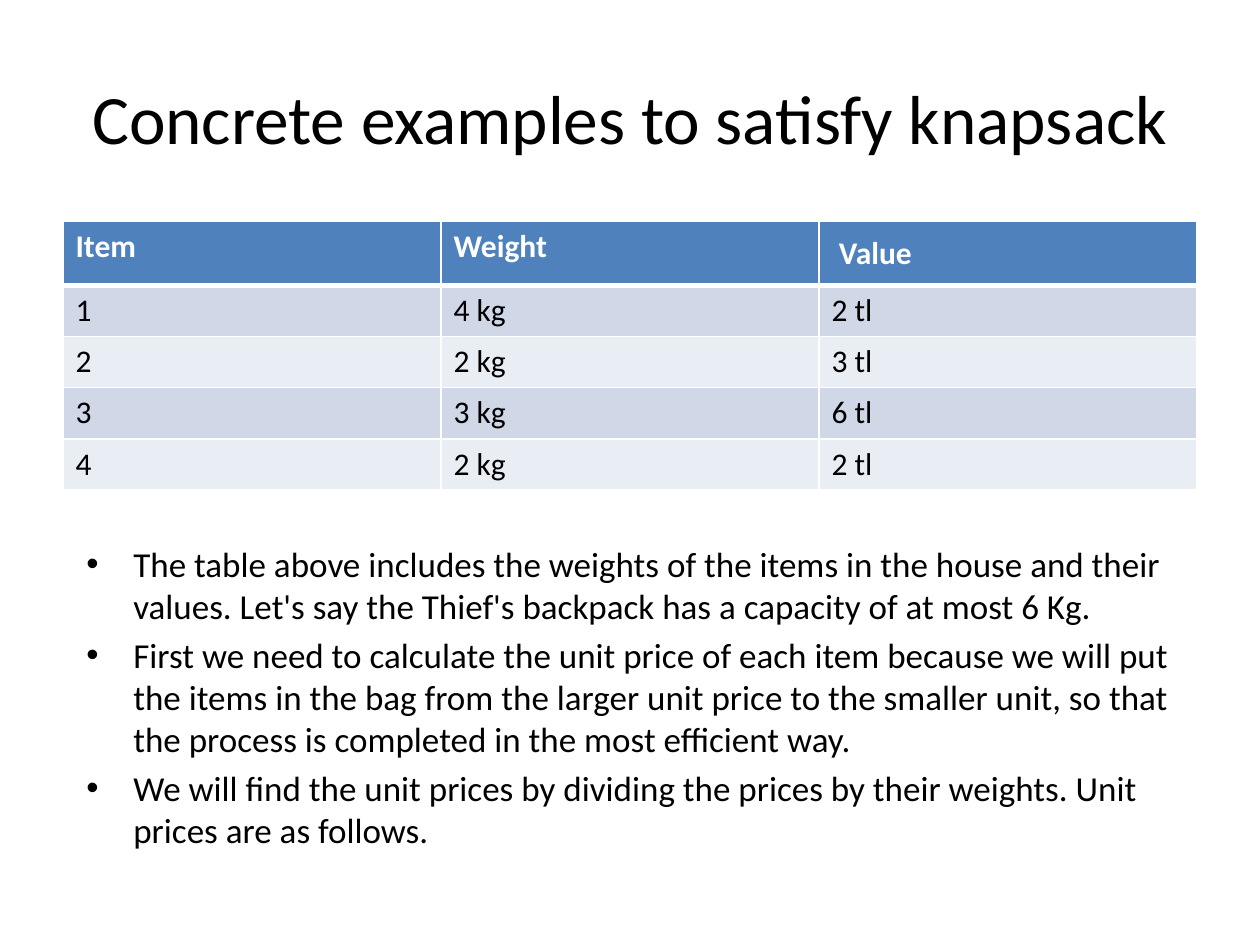
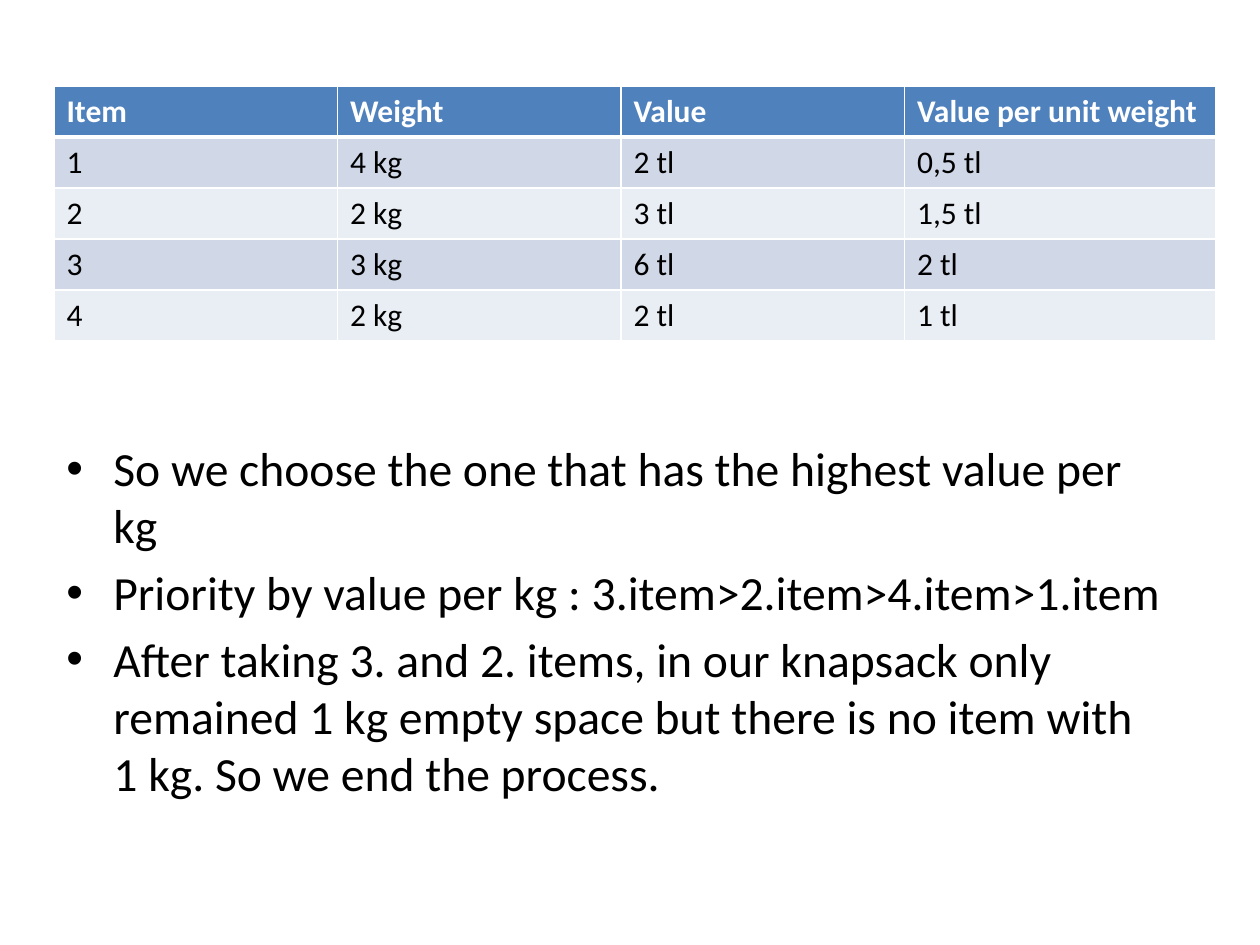
from lxml import etree
from pptx import Presentation, util as u
from pptx.dml.color import RGBColor
from pptx.enum import text
from pptx.oxml.ns import qn

FONT = "Calibri"
INK, WHITE, HEAD = "000000", "FFFFFF", "4F81BD"
BANDS = ["D0D8E8", "E9EDF4"]
ROW = 51
INDENT = 47

HEADS = ["Item", "Weight", "Value", "Value per unit weight"]
ITEMS = [
    ["1", "4 kg", "2 tl", "0,5 tl"],
    ["2", "2 kg", "3 tl", "1,5 tl"],
    ["3", "3 kg", "6 tl", "2 tl"],
    ["4", "2 kg", "2 tl", "1 tl"],
]

# Boxes are left, top, width, height in px
SLIDES = [
    {
        "title": "Concrete examples to satisfy knapsack",
        "table": (63, 221), "cols": [378] * 3, "head": 64, "inset": {2: (20, 13)},
        "body": (74, 536, 1121, 354), "size": 20,
        "points": [
            "The table above includes the weights of the items in the house and "
            "their values. Let's say the Thief's backpack has a capacity of at most 6 Kg.",
            "First we need to calculate the unit price of each item because we will "
            "put the items in the bag from the larger unit price to the smaller unit, "
            "so that the process is completed in the most efficient way.",
            "We will find the unit prices by dividing the prices by their weights. "
            "Unit prices are as follows.",
        ],
    },
    {
        "table": (54, 86), "cols": [283.5] * 3 + [311], "head": ROW, "inset": {},
        "body": (54, 433, 1121, 354), "size": 27.2,
        "points": [
            "So we choose the one that has the highest value per kg",
            "Priority by value per kg : 3.item>2.item>4.item>1.item",
            "After taking 3. and 2. items, in our knapsack only remained 1 kg empty "
            "space but there is no item with 1 kg. So we end the process.",
        ],
    },
]
TITLE = (63, 38, 1134, 157)


def px(n):
    return u.Emu(round(n * 914400 / 126))


def color(code):
    return RGBColor.from_string(code)


def write(para, words, size, ink=INK, bold=False):
    run = para.add_run()
    run.text = words
    font = run.font
    font.name, font.size, font.bold = FONT, u.Pt(size), bold
    font.color.rgb = color(ink)


def add_box(slide, box):
    frame = slide.shapes.add_textbox(*map(px, box)).text_frame
    frame.word_wrap = True
    return frame


def add_title(slide, words):
    frame = add_box(slide, TITLE)
    frame.vertical_anchor = text.MSO_ANCHOR.MIDDLE
    para = frame.paragraphs[0]
    para.alignment = text.PP_ALIGN.CENTER
    write(para, words, 39.6)


def add_points(slide, box, points, size):
    frame = add_box(slide, box)
    for i, words in enumerate(points):
        para = frame.add_paragraph() if i else frame.paragraphs[0]
        props = para._p.get_or_add_pPr()
        props.set("marL", str(px(INDENT)))
        props.set("indent", str(-px(INDENT)))
        etree.SubElement(props, qn("a:buFont"), typeface="Arial")
        etree.SubElement(props, qn("a:buChar"), char="•")
        if i:
            para.space_before = u.Pt(size * 0.2)
        write(para, words, size)


def edge(cell, row):
    """White cell borders, thick between the header and the items."""
    props = cell._tc.get_or_add_tcPr()
    thick = {(0, "B"), (1, "T")}
    for side in "LRTB":
        width = u.Pt(3 if (row, side) in thick else 1)
        line = etree.SubElement(props, qn("a:ln" + side), w=str(width))
        fill = etree.SubElement(line, qn("a:solidFill"))
        etree.SubElement(fill, qn("a:srgbClr"), val=WHITE)


def add_grid(slide, spot, cols, head, inset):
    rows = [HEADS] + ITEMS
    highs = [head] + [ROW] * len(ITEMS)
    box = (*spot, sum(cols), sum(highs))
    grid = slide.shapes.add_table(len(rows), len(cols), *map(px, box)).table
    for col, wide in zip(grid.columns, cols):
        col.width = px(wide)
    for r, (row, high) in enumerate(zip(rows, highs)):
        grid.rows[r].height = px(high)
        for c, words in enumerate(row[:len(cols)]):
            cell = grid.cell(r, c)
            edge(cell, r)
            cell.fill.solid()
            cell.fill.fore_color.rgb = color(BANDS[(r - 1) % 2] if r else HEAD)
            if r == 0 and c in inset:
                side, end = map(px, inset[c])
                cell.margin_left = cell.margin_right = side
                cell.margin_top = cell.margin_bottom = end
                cell.vertical_anchor = text.MSO_ANCHOR.MIDDLE
            write(cell.text_frame.paragraphs[0], words, 18,
                  INK if r else WHITE, r == 0)


def main():
    deck = Presentation()
    deck.slide_width, deck.slide_height = px(1260), px(945)
    for page in SLIDES:
        slide = deck.slides.add_slide(deck.slide_layouts[6])
        add_grid(slide, page["table"], page["cols"], page["head"], page["inset"])
        if "title" in page:
            add_title(slide, page["title"])
        add_points(slide, page["body"], page["points"], page["size"])
    deck.save("out.pptx")


if __name__ == "__main__":
    main()
